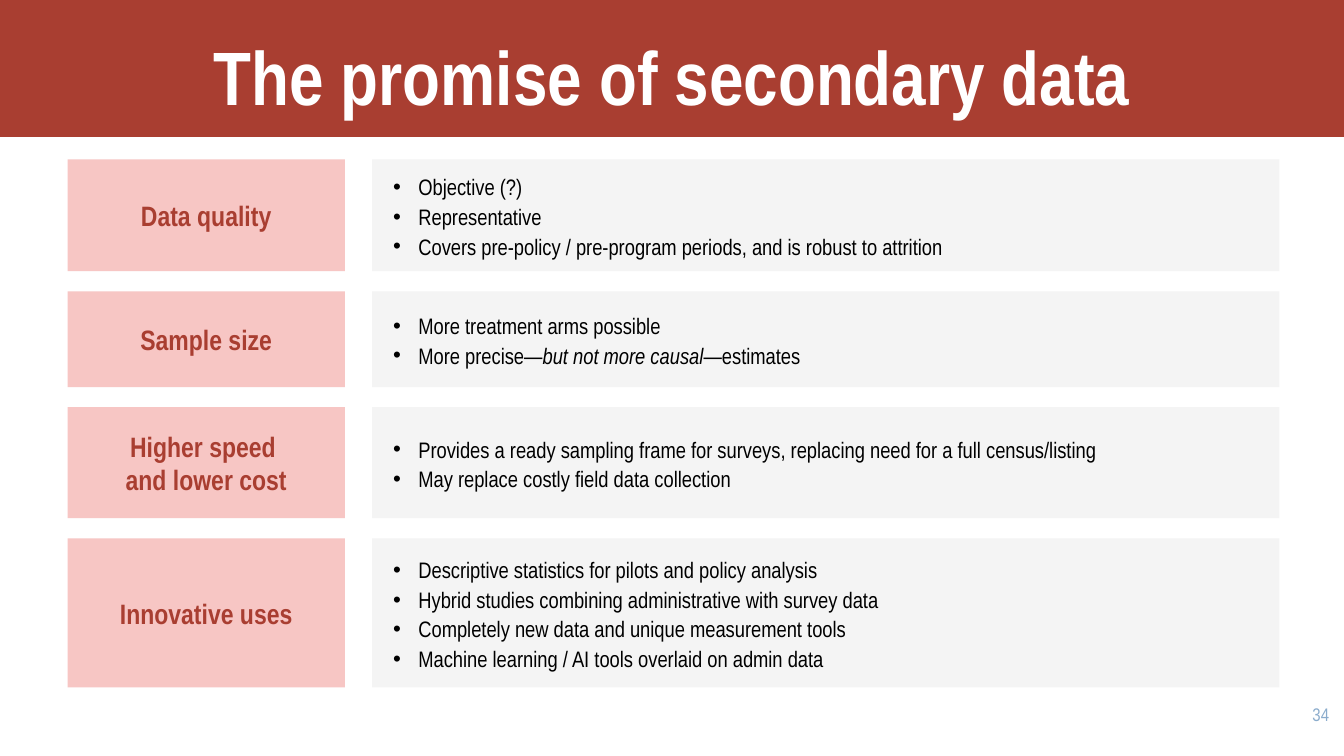
from lxml.etree import SubElement
from pptx import Presentation
from pptx.dml.color import RGBColor
from pptx.enum.shapes import MSO_SHAPE as SHAPE
from pptx.enum.text import MSO_ANCHOR as ANCHOR, PP_ALIGN as ALIGN
from pptx.oxml.ns import qn
from pptx.util import Inches, Pt

RED = RGBColor(0xA9, 0x3E, 0x31)
PINK = RGBColor(0xF7, 0xC6, 0xC4)
GREY = RGBColor(0xF4, 0xF4, 0xF4)
BLUE = RGBColor(0x8B, 0xAC, 0xCC)
BLACK = RGBColor(0, 0, 0)
WHITE = RGBColor(255, 255, 255)


def add_box(left, top, width, height, fill):
    box = slide.shapes.add_shape(
        SHAPE.RECTANGLE, Inches(left), Inches(top), Inches(width), Inches(height))
    box.shadow.inherit = False
    box.fill.solid()
    box.fill.fore_color.rgb = fill
    box.line.fill.background()
    return box


def write(shape, lines, size, color, bold=False, align=ALIGN.CENTER,
          anchor=ANCHOR.MIDDLE, bullet=False):
    """Fill a shape with paragraphs; *stars* mark italics, \\n breaks a line."""
    frame = shape.text_frame
    frame.word_wrap = True
    frame.vertical_anchor = anchor
    if bullet:
        frame.margin_left = frame.margin_right = Inches(0.2)
        frame.margin_top = frame.margin_bottom = 0
    for n, line in enumerate(lines):
        para = frame.add_paragraph() if n else frame.paragraphs[0]
        para.alignment = align
        if bullet:
            para.line_spacing = 1.1
            props = para._p.get_or_add_pPr()
            props.set("marL", str(Inches(0.26)))
            props.set("indent", str(Inches(-0.25)))
            tint = SubElement(props, qn("a:buClr"))
            SubElement(tint, qn("a:srgbClr"), val=str(color))
            SubElement(props, qn("a:buFont"), typeface="Arial")
            SubElement(props, qn("a:buChar"), char="•")
        for row, part in enumerate(line.split("\n")):
            if row:
                para.add_line_break()
            for k, piece in enumerate(part.split("*")):
                run = para.add_run()
                run.text = piece
                font = run.font
                font.name = "Arial Narrow"
                font.size = Pt(size)
                font.bold = bold
                font.italic = k % 2 == 1
                font.color.rgb = color


deck = Presentation()
deck.slide_width, deck.slide_height = Inches(13.33), Inches(7.5)
slide = deck.slides.add_slide(deck.slide_layouts[6])

add_box(0, 0, 13.33, 1.36, RED)

ROWS = [
    ("Data quality", 1.11, [
        "Objective (?)",
        "Representative",
        "Covers pre-policy / pre-program periods, and is robust to attrition"]),
    ("Sample size", 0.95, [
        "More treatment arms possible",
        "More precise—*but not more causal*—estimates"]),
    ("Higher speed \nand lower cost", 1.1, [
        "Provides a ready sampling frame for surveys, "
        "replacing need for a full census/listing",
        "May replace costly field data collection"]),
    ("Innovative uses", 1.48, [
        "Descriptive statistics for pilots and policy analysis",
        "Hybrid studies combining administrative with survey data",
        "Completely new data and unique measurement tools",
        "Machine learning / AI tools overlaid on admin data"]),
]
GAP = 0.2
top = 1.58
for label, height, points in ROWS:
    write(add_box(0.67, top, 2.75, height, PINK), [label], 20, RED, bold=True)
    write(add_box(3.69, top, 9, height, GREY), points, 16, BLACK,
          align=ALIGN.LEFT, bullet=True)
    top += height + GAP

title = slide.shapes.add_textbox(0, Inches(-0.11), Inches(13.33), Inches(1.36))
write(title, ["The promise of secondary data"], 54, WHITE, bold=True,
      anchor=ANCHOR.BOTTOM)

number = slide.shapes.add_textbox(
    Inches(12.48), Inches(6.93), Inches(0.8), Inches(0.57))
write(number, ["34"], 13, BLUE, align=ALIGN.RIGHT, anchor=ANCHOR.TOP)

deck.save("out.pptx")
